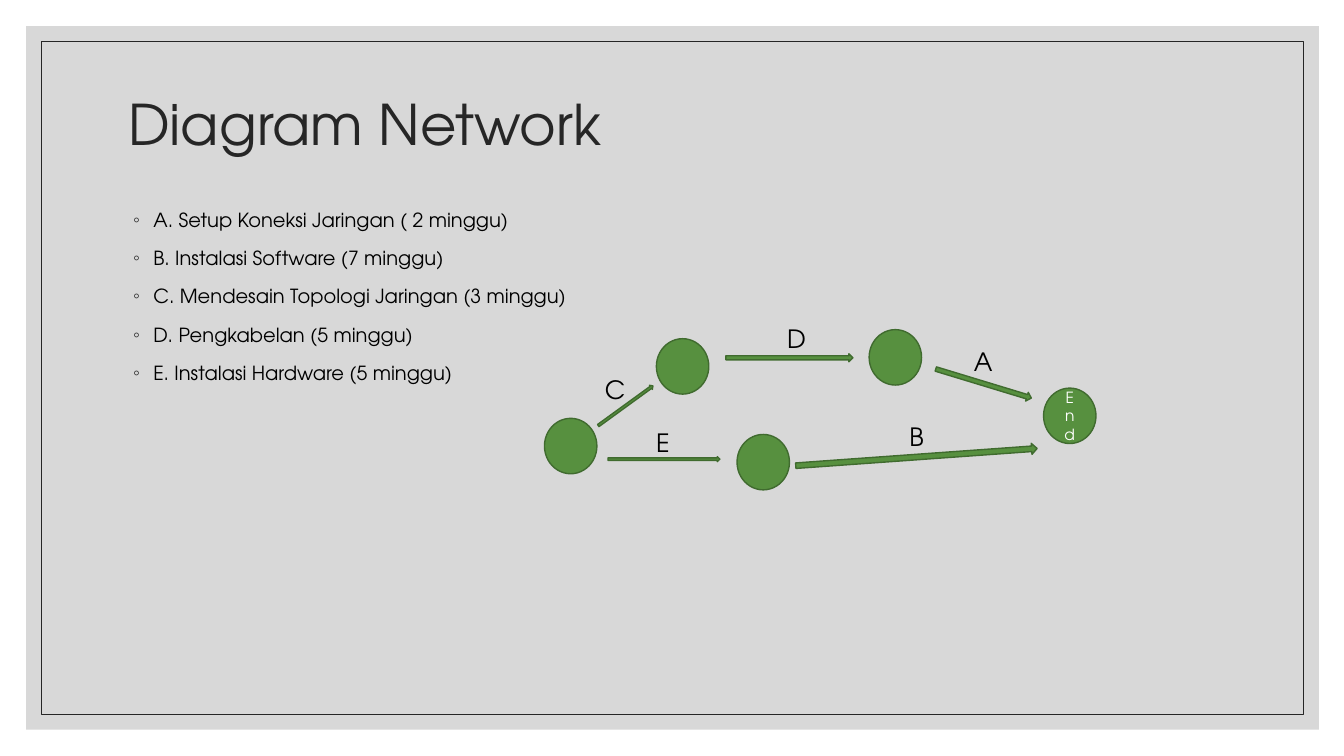
from lxml.etree import SubElement
from pptx import Presentation
from pptx.dml.color import RGBColor
from pptx.enum.shapes import MSO_SHAPE as Preset
from pptx.enum.text import MSO_ANCHOR as Anchor, MSO_AUTO_SIZE as AutoSize, PP_ALIGN as Align
from pptx.oxml.ns import qn
from pptx.util import Inches, Pt

FONT = "TeX Gyre Adventor"
GREEN = RGBColor(0x57, 0x90, 0x3F)
DARK_GREEN = RGBColor(0x40, 0x6B, 0x2F)
GRAY = RGBColor(0xBF, 0xBF, 0xBF)
INK = RGBColor(0x26, 0x26, 0x26)
BLACK = RGBColor(0, 0, 0)
WHITE = RGBColor(0xFF, 0xFF, 0xFF)


class NetworkSlide:
    def __init__(self, deck):
        self.slide = deck.slides.add_slide(deck.slide_layouts[1])
        self.shapes = self.slide.shapes

    def fill_text(self, frame, lines, size, color, frame_format=None, **paragraph_format):
        """Fill a text frame with one paragraph per line."""
        for name, value in (frame_format or {}).items():
            setattr(frame, name, value)
        frame.text = "\n".join(lines)
        for paragraph in frame.paragraphs:
            for name, value in paragraph_format.items():
                setattr(paragraph, name, value)
            for name, value in {"name": FONT, "size": Pt(size)}.items():
                setattr(paragraph.runs[0].font, name, value)
            paragraph.runs[0].font.color.rgb = color

    def placeholder(self, index, box, lines, size, color, anchor, **paragraph_format):
        holder = self.slide.placeholders[index]
        for name, value in zip(("left", "top", "width", "height"), box):
            setattr(holder, name, Inches(value))
        frame_format = {"auto_size": AutoSize.NONE, "word_wrap": True, "vertical_anchor": anchor}
        self.fill_text(holder.text_frame, lines, size, color, frame_format,
                       alignment=Align.LEFT, **paragraph_format)
        # Keep the text in front of the backdrop
        self.shapes._spTree.append(holder._element)
        return holder.text_frame

    def bullets(self, frame, char, indent):
        for paragraph in frame.paragraphs:
            props = paragraph._p.get_or_add_pPr()
            props.set("marL", str(Inches(indent)))
            props.set("indent", str(-Inches(indent)))
            color = SubElement(props, qn("a:buClr"))
            SubElement(color, qn("a:srgbClr"), val=str(INK))
            SubElement(props, qn("a:buChar"), char=char)

    def shape(self, preset, box, fill=GREEN, line=DARK_GREEN, width=1, alpha=None, rotation=0):
        shape = self.shapes.add_shape(preset, *map(Inches, box))
        shape.shadow.inherit = False
        shape.rotation = rotation
        if fill is None:
            shape.fill.background()
        else:
            shape.fill.solid()
            shape.fill.fore_color.rgb = fill
        if alpha is not None:
            color = shape._element.spPr.find(qn("a:solidFill"))[0]
            SubElement(color, qn("a:alpha"), val=str(alpha * 1000))
        if line is None:
            shape.line.fill.background()
        else:
            shape.line.color.rgb = line
            shape.line.width = Pt(width)
        return shape

    def node(self, left, top, text=None):
        circle = self.shape(Preset.FLOWCHART_CONNECTOR, (left, top, 0.52, 0.55))
        if text:
            self.fill_text(circle.text_frame, [text], 11, WHITE,
                           {"word_wrap": True, "vertical_anchor": Anchor.MIDDLE},
                           alignment=Align.CENTER)

    def label(self, text, left, top, width):
        box = self.shapes.add_textbox(*map(Inches, (left, top, width, 0.4)))
        self.fill_text(box.text_frame, [text], 18, BLACK, {"word_wrap": True})


def main():
    deck = Presentation()
    deck.slide_width, deck.slide_height = Inches(13.33), Inches(7.5)
    page = NetworkSlide(deck)

    # Backdrop and frame
    page.shape(Preset.RECTANGLE, (0.26, 0.26, 12.82, 6.98), fill=GRAY, line=None, alpha=60)
    page.shape(Preset.RECTANGLE, (0.41, 0.41, 12.52, 6.68), fill=None, line=INK, width=0.5)

    # Title and task list
    page.placeholder(0, (1.17, 0.51, 11, 1.5), ["Diagram Network"], 40, INK,
                     Anchor.MIDDLE, line_spacing=0.9)
    tasks = page.placeholder(1, (1.22, 1.99, 4.79, 2.05), [
        "A. Setup Koneksi Jaringan ( 2 minggu)",
        "B. Instalasi Software (7 minggu)",
        "C. Mendesain Topologi Jaringan (3 minggu)",
        "D. Pengkabelan (5 minggu)",
        "E. Instalasi Hardware (5 minggu)",
    ], 13.9, BLACK, Anchor.TOP, line_spacing=1.1, space_before=Pt(9))
    page.bullets(tasks, "◦", 0.2)

    # Network events
    for left, top in [(5.4, 4.15), (6.51, 3.36), (8.62, 3.27), (7.31, 4.31)]:
        page.node(left, top)
    page.node(10.35, 3.85, "End")

    # Activities: letter, arrow box, rotation, label left, top and width
    activities = [
        ("C", (5.87, 4, 0.67, 0.05), 324, (5.9, 3.66, 0.24)),
        ("E", (6.03, 4.53, 1.11, 0.05), 0, (6.41, 4.19, 0.34)),
        ("D", (7.2, 3.51, 1.26, 0.08), 0, (7.71, 3.16, 0.3)),
        ("B", (7.89, 4.48, 2.4, 0.11), 355.9, (8.92, 4.13, 0.35)),
        ("A", (9.26, 3.76, 0.99, 0.09), 16.9, (9.56, 3.39, 0.3)),
    ]
    for letter, arrow, rotation, spot in activities:
        page.shape(Preset.RIGHT_ARROW, arrow, rotation=rotation)
        page.label(letter, *spot)

    deck.save("out.pptx")


if __name__ == "__main__":
    main()
